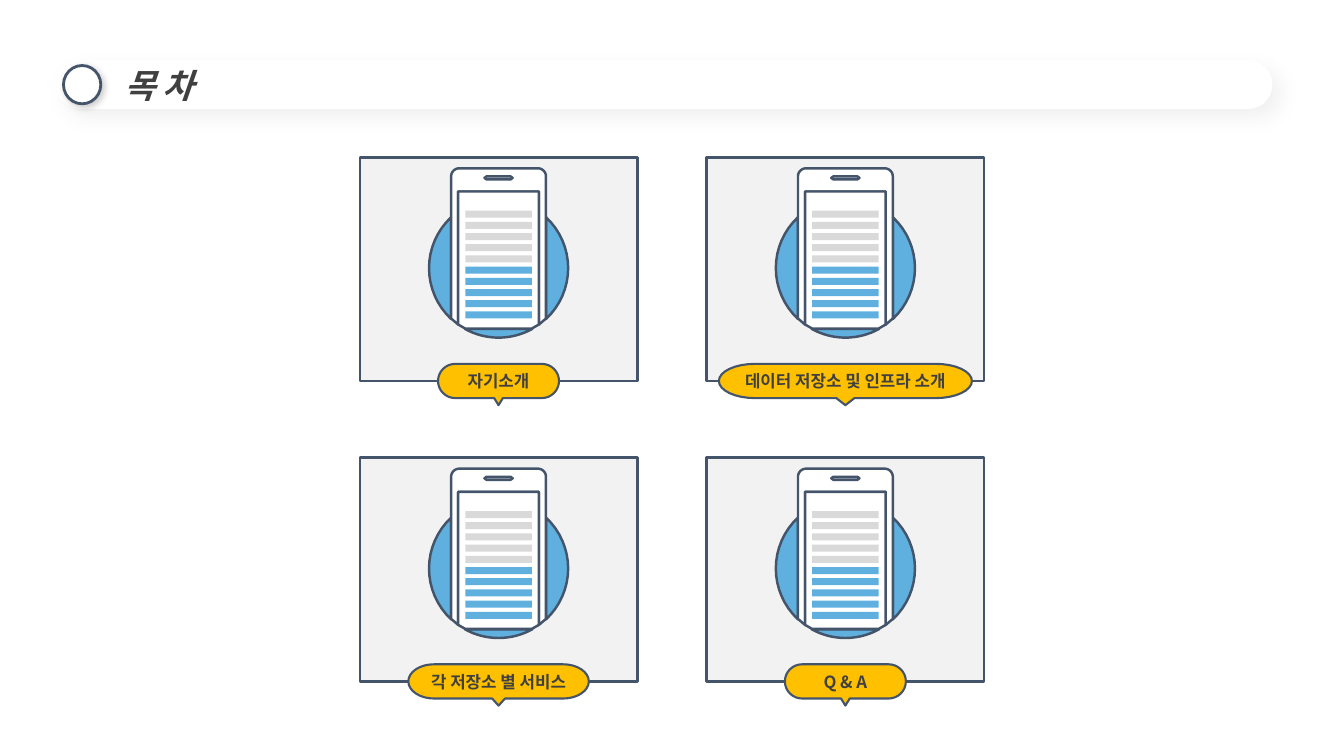
import math

from lxml import etree
from pptx import Presentation
from pptx import util as u
from pptx.dml.color import RGBColor
from pptx.enum import shapes, text
from pptx.oxml import ns

PX = 9144  # EMU per px, 100 px to the inch
NAVY, BLUE, GREY, WHITE = "44546A", "5FB0DF", "D9D9D9", "FFFFFF"
PANEL, AMBER, INK = "F2F2F2", "FFC000", "404040"


def px(value):
    return u.Emu(round(value * PX))


def color(value):
    return RGBColor.from_string(value)


def arc(center_x, center_y, radius_x, radius_y, start, end, steps=16):
    """Points along an ellipse, clockwise in degrees from the right."""
    angles = [math.radians(start + (end - start) * i / steps) for i in range(steps + 1)]
    return [(center_x + radius_x * math.cos(a), center_y + radius_y * math.sin(a)) for a in angles]


class Deck:
    font = "Noto Sans CJK KR"

    def __init__(self):
        self.presentation = Presentation()
        self.presentation.slide_width, self.presentation.slide_height = px(1333), px(750)
        self.slide = self.presentation.slides.add_slide(self.presentation.slide_layouts[5])
        self.target = self.slide.shapes

    def group(self):
        self.target = self.slide.shapes.add_group_shape().shapes

    def style(self, shape, fill, line=None, width=1.75):
        shape.shadow.inherit = False
        shape.fill.solid()
        shape.fill.fore_color.rgb = color(fill)
        if line:
            shape.line.color.rgb = color(line)
            shape.line.width = u.Pt(width)
        else:
            shape.line.fill.background()
        return shape

    def shape(self, kind, left, top, width, height, fill, line=None, line_width=2):
        shape = self.target.add_shape(kind, px(left), px(top), px(width), px(height))
        return self.style(shape, fill, line, line_width)

    def outline(self, contours, origin, fill, line_width=1.75):
        """Closed freeform; contour points are px from the origin."""
        left, top = origin
        builder = None
        for contour in contours:
            points = [(px(left + x), px(top + y)) for x, y in contour]
            if builder is None:
                builder = self.target.build_freeform(*points[0], scale=1.0)
            else:
                builder.move_to(*points[0])
            builder.add_line_segments(points[1:], close=True)
        return self.style(builder.convert_to_shape(), fill, NAVY, line_width)

    def shadow(self, shape, alpha, blur, distance):
        effects = shape.element.spPr.find(ns.qn("a:effectLst"))
        outer = etree.SubElement(effects, ns.qn("a:outerShdw"), blurRad=str(u.Pt(blur)),
                                 dist=str(u.Pt(distance)), dir="2700000", algn="tl", rotWithShape="0")
        shade = etree.SubElement(outer, ns.qn("a:srgbClr"), val="000000")
        etree.SubElement(shade, ns.qn("a:alpha"), val=str(alpha * 1000))

    def label(self, shape, words, size, align, margins, italic=False):
        frame = shape.text_frame
        frame.text = words
        left, top, right, bottom = map(px, margins)
        frame_format = {
            "word_wrap": True, "auto_size": text.MSO_AUTO_SIZE.NONE,
            "vertical_anchor": text.MSO_ANCHOR.MIDDLE, "margin_left": left,
            "margin_top": top, "margin_right": right, "margin_bottom": bottom,
        }
        for name, value in frame_format.items():
            setattr(frame, name, value)
        paragraph = frame.paragraphs[0]
        paragraph.alignment = align
        font = paragraph.runs[0].font
        font_format = {"name": self.font, "size": u.Pt(size), "bold": True, "italic": italic}
        for name, value in font_format.items():
            setattr(font, name, value)
        font.color.rgb = color(INK)
        etree.SubElement(font._element, ns.qn("a:ea"), typeface=self.font)

    def title(self, words, left, top, width, height):
        bar = self.shape(shapes.MSO_SHAPE.ROUNDED_RECTANGLE, left, top, width, height, WHITE)
        bar.adjustments[0] = 0.5
        self.shadow(bar, 5, 15, 8)
        title = self.slide.shapes.title
        title.element.addprevious(bar.element)  # keep the bar behind the title
        title.left, title.top, title.width, title.height = map(px, (left, top, width, height))
        self.label(title, words, 24, text.PP_ALIGN.LEFT, (67, 5, 10, 5), italic=True)

    def phone(self, origin):
        # Visible parts of the disc: right, left and bottom
        for middle, half in ((0, 47), (180, 47), (90, 29)):
            self.outline([arc(0, 110, 69, 69, middle - half, middle + half)], origin, BLUE)
        # Body with its speaker slot, then the screen
        slot = [(-12, 19), (-14, 20.5), (-12, 22), (12, 22), (14, 20.5), (12, 19)]
        body = (arc(-39, 19, 8, 8, 180, 270) + arc(39, 19, 8, 8, 270, 360)
                + [(47, 160), (40, 166), (40, 34), (-40, 34), (-40, 166), (-47, 160)])
        screen = [(-40, 34), (40, 34), (40, 166), (33, 170), (-33, 170), (-40, 166)]
        self.outline([slot, body], origin, WHITE)
        self.outline([screen], origin, WHITE)
        # Ten text bars, evenly spread
        left, top = origin
        for i in range(10):
            self.shape(shapes.MSO_SHAPE.RECTANGLE, left - 33, top + 53 + i * 100 / 9, 66, 7,
                       GREY if i < 5 else BLUE)

    def bubble(self, words, width, origin):
        cap, tail = width / 7, width / 28
        side = width / 2 - cap
        points = (arc(side, 222, cap, 17, -90, 90) + [(tail, 239), (0, 246), (-tail, 239)]
                  + arc(-side, 222, cap, 17, 90, 270))
        bubble = self.outline([points], origin, AMBER, 1.5)
        self.label(bubble, words, 12, text.PP_ALIGN.CENTER, (10, 5, 10, 12))

    def card(self, words, bubble_width, left, top):
        self.group()
        self.shape(shapes.MSO_SHAPE.RECTANGLE, left, top, 275, 222, PANEL, NAVY)
        origin = (left + 275 / 2, top)
        self.phone(origin)
        self.bubble(words, bubble_width, origin)


def main():
    deck = Deck()

    # Heading
    deck.title("목 차", 56, 60, 1206, 48)
    ring = deck.shape(shapes.MSO_SHAPE.OVAL, 63, 65, 37, 38, WHITE, NAVY)
    deck.shadow(ring, 20, 5, 2)

    # Contents, two by two
    chapters = [("자기소개", 120), ("데이터 저장소 및 인프라 소개", 251),
                ("각 저장소 별 서비스", 179), ("Q & A", 120)]
    for index, (words, bubble_width) in enumerate(chapters):
        row, column = divmod(index, 2)
        deck.card(words, bubble_width, 357 + 344 * column, 156 + 298 * row)

    deck.presentation.save("out.pptx")


if __name__ == "__main__":
    main()
